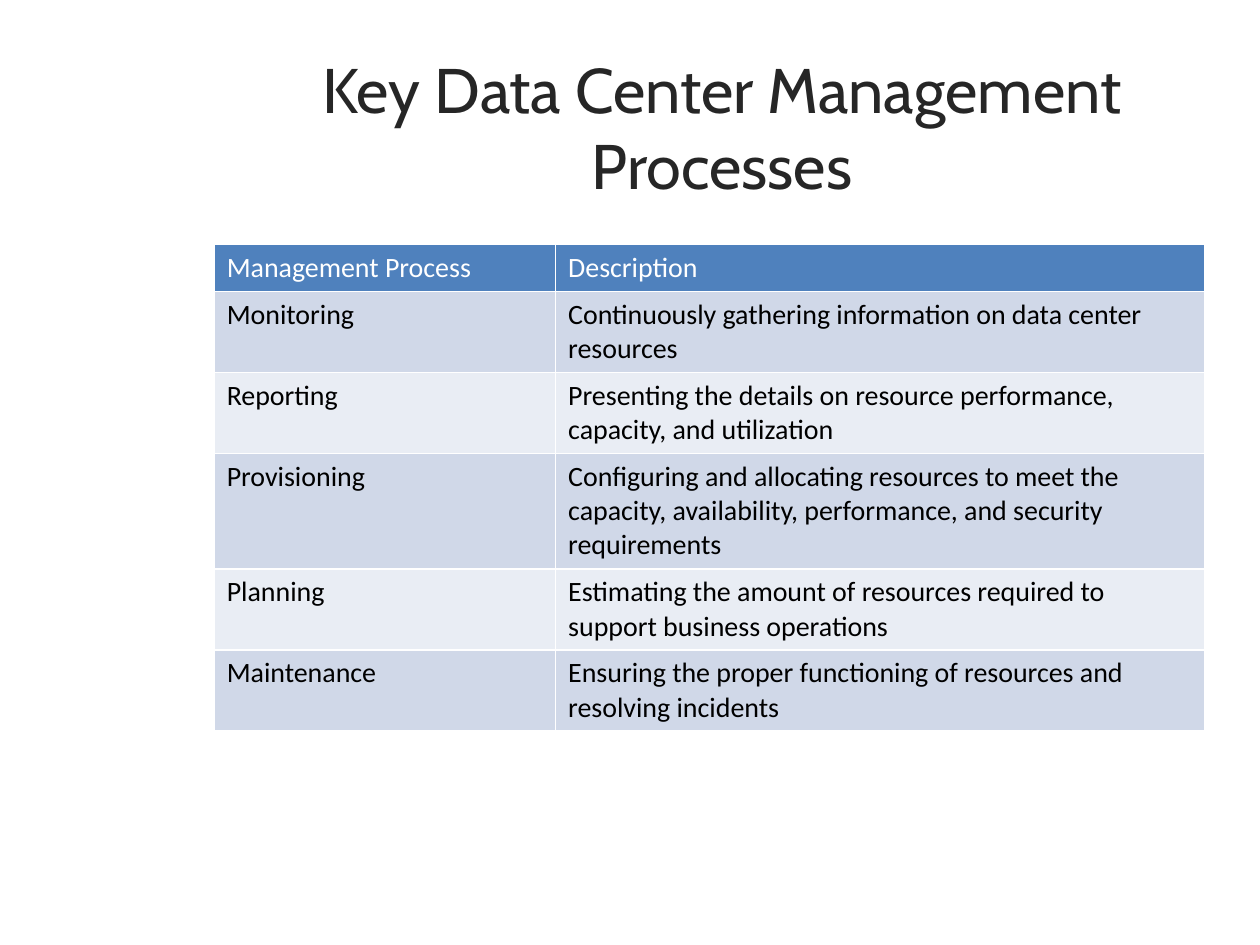
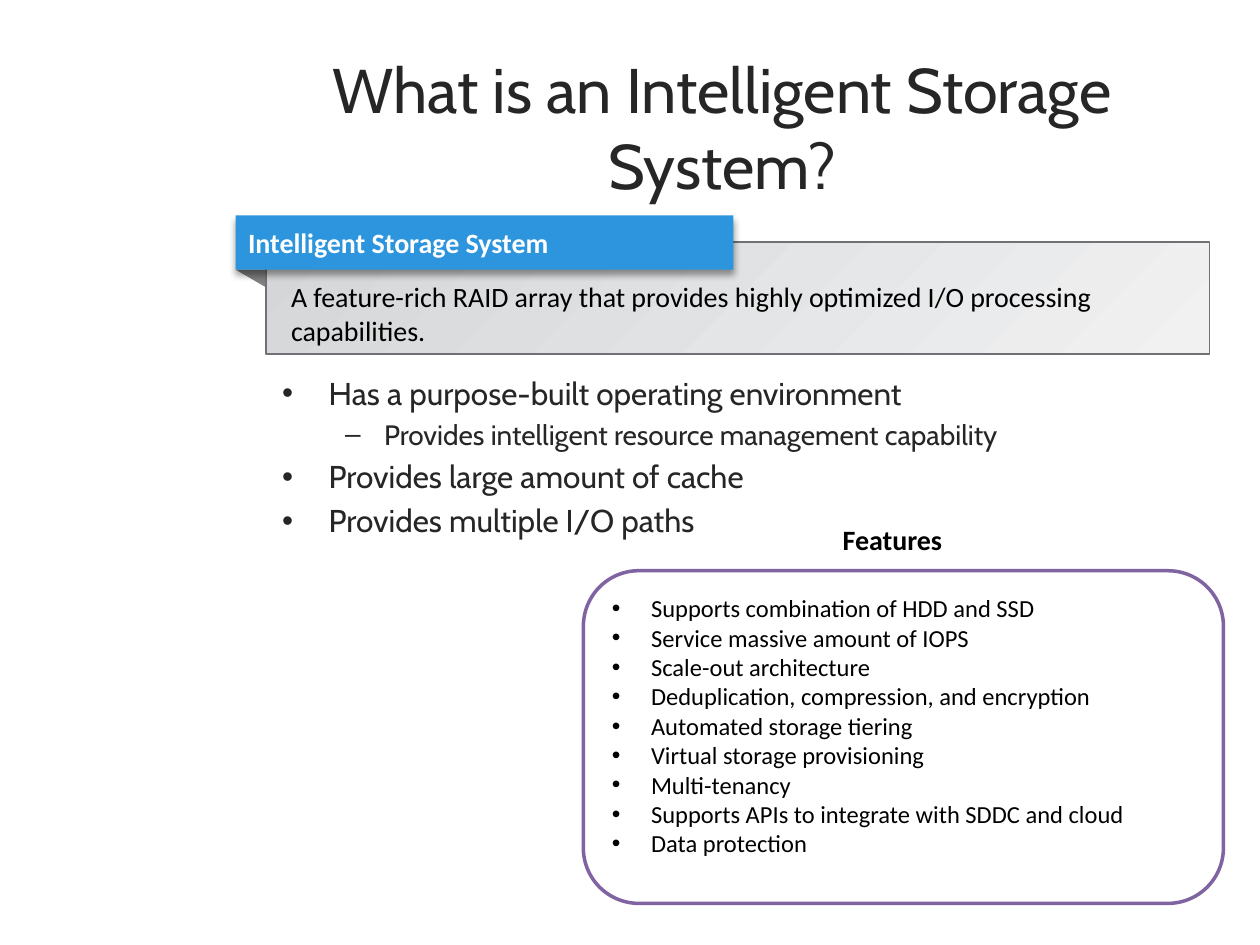
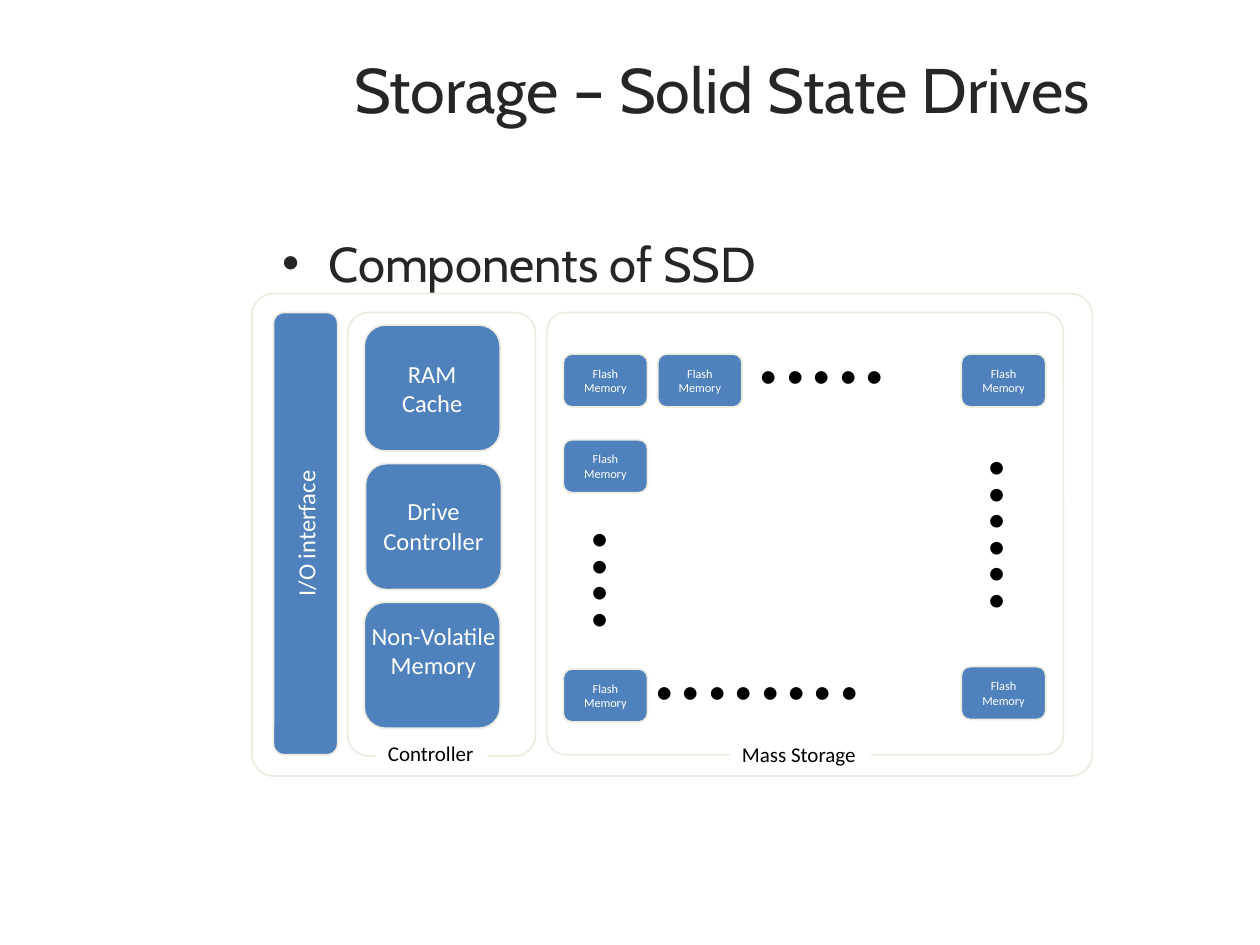
from dataclasses import dataclass
from typing import Optional, Sequence

from lxml import etree
from pptx import Presentation
from pptx.dml.color import RGBColor
from pptx.enum.shapes import MSO_SHAPE
from pptx.enum.text import MSO_ANCHOR, MSO_AUTO_SIZE, PP_ALIGN
from pptx.oxml.ns import qn
from pptx.util import Inches, Pt

RECT, ROUNDED = MSO_SHAPE.RECTANGLE, MSO_SHAPE.ROUNDED_RECTANGLE
LEFT, CENTER = PP_ALIGN.LEFT, PP_ALIGN.CENTER
TOP, MIDDLE = MSO_ANCHOR.TOP, MSO_ANCHOR.MIDDLE
FIXED, GROW = MSO_AUTO_SIZE.NONE, MSO_AUTO_SIZE.SHAPE_TO_FIT_TEXT
TITLE_ONLY = 5

# Grid: 100 columns by 75 rows on a 10 x 7.5 inch slide
WIDTH, HEIGHT = Inches(10), Inches(7.5)
COLUMN, ROW = WIDTH / 100, HEIGHT / 75


@dataclass(frozen=True)
class Theme:
    heading_font: str = "Cabin"
    body_font: str = "Calibri"
    ink: str = "262626"
    black: str = "000000"
    white: str = "FFFFFF"
    blue: str = "4F81BD"
    bands: tuple = ("D0D8E8", "E9EDF4")
    ribbon: str = "2C95DD"
    fold: str = "808080"
    panel: tuple = ("D4D6D8", "F1F1F2")
    panel_edge: str = "717074"
    purple: str = "8064A2"
    cream: str = "EEECE1"
    title: float = 36
    topic: float = 28
    point: float = 18
    text: float = 16
    component: float = 14
    caption: float = 12
    chip: float = 7
    dots: float = 60


THEME = Theme()


@dataclass(frozen=True)
class Box:
    left: float
    top: float
    width: float
    height: float

    def emu(self) -> tuple:
        return (round(self.left * COLUMN), round(self.top * ROW),
                round(self.width * COLUMN), round(self.height * ROW))


@dataclass(frozen=True)
class Bullet:
    mark: str
    indent: float
    hang: float


@dataclass(frozen=True)
class Style:
    size: float
    color: str = THEME.black
    font: str = THEME.body_font
    bold: bool = False
    align: PP_ALIGN = LEFT
    bullet: Optional[Bullet] = None
    space_before: float = 0


@dataclass(frozen=True)
class Line:
    text: str
    style: Style


@dataclass(frozen=True)
class Look:
    fill: Optional[str] = None
    edge: Optional[str] = None
    edge_width: float = 1
    corner: Optional[float] = None


def heading_style(size: float, bullet: Optional[Bullet] = None, align: PP_ALIGN = LEFT) -> Style:
    return Style(size, THEME.ink, THEME.heading_font, align=align, bullet=bullet,
                 space_before=round(size * 0.2, 1) if bullet else 0)


DOT = Bullet("•", 3.7, 3.7)
DASH = Bullet("–", 8.1, 3.1)
TITLE = heading_style(THEME.title, align=CENTER)
POINT = heading_style(THEME.point, DOT)
SUBPOINT = heading_style(THEME.text, DASH)
TOPIC = heading_style(THEME.topic, DOT)
TEXT = Style(THEME.text)
TEXT_BOLD = Style(THEME.text, bold=True)
RIBBON_TEXT = Style(THEME.text, THEME.white, bold=True)
HEADER_TEXT = Style(THEME.text, THEME.white)
FEATURE = Style(THEME.component, bullet=Bullet("•", 3.1, 3.1))
COMPONENT = Style(THEME.component, THEME.white, align=CENTER)
CHIP = Style(THEME.chip, THEME.white, align=CENTER)
CAPTION = Style(THEME.caption)
DOTS = Style(THEME.dots)

WHITE = Look(THEME.white)
BLOCK = Look(THEME.blue, THEME.cream)


# Shared text and shape tools
def rgb(color: str) -> RGBColor:
    return RGBColor.from_string(color)


def fill_paragraph(paragraph, line: Line) -> None:
    style = line.style
    paragraph.text = line.text
    paragraph.alignment = style.align
    paragraph.space_before = Pt(style.space_before)
    if style.bullet:
        properties = paragraph._p.get_or_add_pPr()
        properties.set("marL", str(round(style.bullet.indent * COLUMN)))
        properties.set("indent", str(-round(style.bullet.hang * COLUMN)))
        etree.SubElement(properties, qn("a:buFont"), typeface="Arial")
        etree.SubElement(properties, qn("a:buChar"), char=style.bullet.mark)
    font = paragraph.font
    font.name, font.size, font.bold = style.font, Pt(style.size), style.bold
    font.color.rgb = rgb(style.color)


def write(frame, lines: Sequence[Line], anchor=TOP, wrap: bool = True, fit=FIXED) -> None:
    frame.word_wrap, frame.auto_size, frame.vertical_anchor = wrap, fit, anchor
    for index, line in enumerate(lines):
        fill_paragraph(frame.add_paragraph() if index else frame.paragraphs[0], line)


def paint(shape, look: Look) -> None:
    shape.shadow.inherit = False
    if look.fill:
        shape.fill.solid()
        shape.fill.fore_color.rgb = rgb(look.fill)
    if look.edge:
        shape.line.color.rgb = rgb(look.edge)
        shape.line.width = Pt(look.edge_width)
    else:
        shape.line.fill.background()


def add_block(slide, kind, box: Box, look: Look, lines: Sequence[Line] = (), anchor=MIDDLE):
    shape = slide.shapes.add_shape(kind, *box.emu())
    paint(shape, look)
    if look.corner is not None:
        shape.adjustments[0] = look.corner
    if lines:
        write(shape.text_frame, lines, anchor)
    return shape


def add_label(slide, box: Box, lines: Sequence[Line], look: Look = Look(),
              wrap: bool = False, fit=GROW, rotation: float = 0) -> None:
    label = slide.shapes.add_textbox(*box.emu())
    label.rotation = rotation
    if look.fill:
        paint(label, look)
    write(label.text_frame, lines, wrap=wrap, fit=fit)


def add_titled_slide(deck, title: str):
    slide = deck.slides.add_slide(deck.slide_layouts[TITLE_ONLY])
    heading = slide.shapes.title
    heading.left, heading.top, heading.width, heading.height = Box(21.4, 3.5, 71.8, 11.7).emu()
    write(heading.text_frame, [Line(title, TITLE)])
    return slide


def add_soft_shadow(shape) -> None:
    effects = shape.element.spPr.find(qn("a:effectLst"))
    shadow = etree.SubElement(effects, qn("a:outerShdw"), blurRad=str(Pt(4)), dist=str(Pt(3)),
                              dir="5400000", algn="t", rotWithShape="0")
    color = etree.SubElement(shadow, qn("a:srgbClr"), val=THEME.black)
    etree.SubElement(color, qn("a:alpha"), val="40000")


def add_cell_borders(cell) -> None:
    properties = cell._tc.get_or_add_tcPr()
    for index, side in enumerate(("a:lnL", "a:lnR", "a:lnT", "a:lnB")):
        border = etree.Element(qn(side), w=str(Pt(1)))
        fill = etree.SubElement(border, qn("a:solidFill"))
        etree.SubElement(fill, qn("a:srgbClr"), val=THEME.white)
        properties.insert(index, border)


# Slide 1: management processes
@dataclass(frozen=True)
class Process:
    name: str
    description: str
    text_lines: int = 2


PROCESSES = (
    Process("Management Process", "Description", 1),
    Process("Monitoring", "Continuously gathering information on data center resources"),
    Process("Reporting", "Presenting the details on resource performance, capacity, and utilization"),
    Process("Provisioning", "Configuring and allocating resources to meet the capacity, "
            "availability, performance, and security requirements", 3),
    Process("Planning", "Estimating the amount of resources required to support business operations"),
    Process("Maintenance", "Ensuring the proper functioning of resources and resolving incidents"),
)


def build_processes(deck) -> None:
    slide = add_titled_slide(deck, "Key Data Center Management Processes")
    table = slide.shapes.add_table(len(PROCESSES), 2, *Box(17, 19.4, 78.6, 38).emu()).table
    table.first_row = table.horz_banding = False
    for column, width in zip(table.columns, (27.1, 51.5)):
        column.width = round(width * COLUMN)
    for index, process in enumerate(PROCESSES):
        row = table.rows[index]
        row.height = round((1 + 2.7 * process.text_lines) * ROW)
        fill = THEME.bands[(index - 1) % 2] if index else THEME.blue
        for cell, text in zip(row.cells, (process.name, process.description)):
            cell.fill.solid()
            cell.fill.fore_color.rgb = rgb(fill)
            add_cell_borders(cell)
            fill_paragraph(cell.text_frame.paragraphs[0], Line(text, TEXT if index else HEADER_TEXT))


# Slide 2: intelligent storage system
FEATURES = (
    "Supports combination of HDD and SSD",
    "Service massive amount of IOPS",
    "Scale-out architecture",
    "Deduplication, compression, and encryption",
    "Automated storage tiering",
    "Virtual storage provisioning",
    "Multi-tenancy",
    "Supports APIs to integrate with SDDC and cloud",
    "Data protection",
)
FOLD_CORNERS = ((18.7, 21.4), (21.1, 21.4), (21.1, 22.8))


def add_definition(slide, term: str, meaning: str) -> None:
    start, *others = [(round(x * COLUMN), round(y * ROW)) for x, y in FOLD_CORNERS]
    fold = slide.shapes.build_freeform(*start)
    fold.add_line_segments(others)
    paint(fold.convert_to_shape(), Look(THEME.fold))

    panel = add_block(slide, RECT, Box(21.1, 19.2, 74.9, 8.9), Look(edge=THEME.panel_edge),
                      [Line(meaning, TEXT)], TOP)
    panel.fill.gradient()
    panel.fill.gradient_angle = 315
    for stop, color in zip(panel.fill.gradient_stops, THEME.panel):
        stop.color.rgb = rgb(color)
    frame = panel.text_frame
    frame.margin_left = frame.margin_right = round(2 * COLUMN)
    frame.margin_top = round(3 * ROW)

    ribbon = add_block(slide, RECT, Box(18.7, 17.1, 39.5, 4.3), Look(THEME.ribbon),
                       [Line(term, RIBBON_TEXT)])
    add_soft_shadow(ribbon)


def build_storage_system(deck) -> None:
    slide = add_titled_slide(deck, "What is an Intelligent Storage System?")
    add_label(slide, Box(21.4, 29.2, 71.8, 40.3), [
        Line("Has a purpose-built operating environment", POINT),
        Line("Provides intelligent resource management capability", SUBPOINT),
        Line("Provides large amount of cache", POINT),
        Line("Provides multiple I/O paths", POINT),
    ], wrap=True, fit=FIXED)
    add_definition(slide, "Intelligent Storage System",
                   "A feature-rich RAID array that provides highly optimized I/O processing capabilities.")
    add_block(slide, ROUNDED, Box(46.3, 45.3, 50.8, 26.4), Look(THEME.white, THEME.purple, 2),
              [Line(feature, FEATURE) for feature in FEATURES], TOP)
    add_label(slide, Box(65.9, 41, 10, 3.7), [Line("Features", TEXT_BOLD)], WHITE)


# Slide 3: solid state drive
FRAMES = (
    (Box(20, 23.3, 66.7, 38.3), 0.045),
    (Box(43.4, 24.8, 41, 35.1), 0.043),
    (Box(27.6, 24.8, 14.9, 35.2), 0.11),
)
CHIP_PLACES = ((44.7, 28.1), (52.2, 28.1), (76.3, 28.1), (76.3, 52.9), (44.7, 53.1), (44.7, 34.9))
DOT_ROWS = (
    (Box(50.7, 46.7, 19, 11.1), 8, 0),
    (Box(74.6, 37, 14.7, 11.1), 6, 90),
    (Box(45.2, 40.6, 10.5, 11.1), 4, 90),
    (Box(59, 21.6, 12.6, 11.1), 5, 0),
)


def build_solid_state_drive(deck) -> None:
    slide = add_titled_slide(deck, "Storage – Solid State Drives")
    add_label(slide, Box(21.4, 18, 71.8, 51.5), [Line("Components of SSD", TOPIC)],
              wrap=True, fit=FIXED)
    for box, corner in FRAMES:
        add_block(slide, ROUNDED, box, Look(THEME.white, THEME.cream, corner=corner))

    # Interface and controller components
    interface = add_block(slide, ROUNDED, Box(21.7, 24.8, 5.1, 35.1), BLOCK,
                          [Line("I/O interface", COMPONENT)])
    interface.element.txBody.find(qn("a:bodyPr")).set("vert", "vert270")
    for index, (left, text) in enumerate(((28.9, "RAM Cache"), (29, ""), (28.9, ""))):
        add_block(slide, ROUNDED, Box(left, 25.8 + 11 * index, 10.8, 10), BLOCK,
                  [Line(text, COMPONENT)] if text else ())
    for top, text in ((38.9, "Drive Controller"), (48.8, "Non-Volatile Memory")):
        add_label(slide, Box(28.15, top, 12.5, 5.7), [Line(text, COMPONENT)], wrap=True)

    # Flash memory array
    for left, top in CHIP_PLACES:
        add_block(slide, ROUNDED, Box(left, top, 6.7, 4.2), BLOCK, [Line("Flash Memory", CHIP)])
    for box, count, rotation in DOT_ROWS:
        add_label(slide, box, [Line("." * count, DOTS)], rotation=rotation)

    # Captions over the frame edges
    for box, text in ((Box(57.9, 58.4, 11.2, 3), "Mass Storage"),
                      (Box(29.8, 58.3, 8.9, 3), "Controller")):
        add_label(slide, box, [Line(text, CAPTION)], WHITE)


def main() -> None:
    deck = Presentation()
    deck.slide_width, deck.slide_height = WIDTH, HEIGHT
    build_processes(deck)
    build_storage_system(deck)
    build_solid_state_drive(deck)
    deck.save("out.pptx")


if __name__ == "__main__":
    main()
